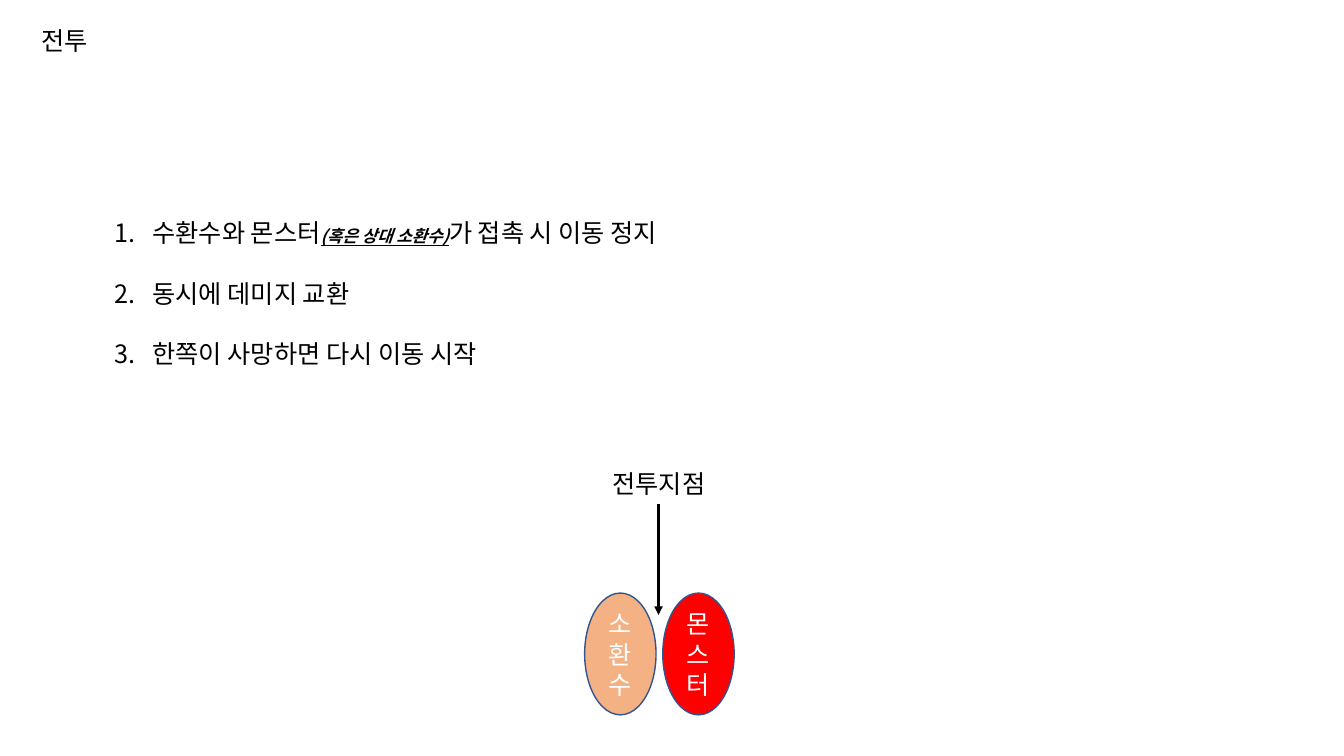
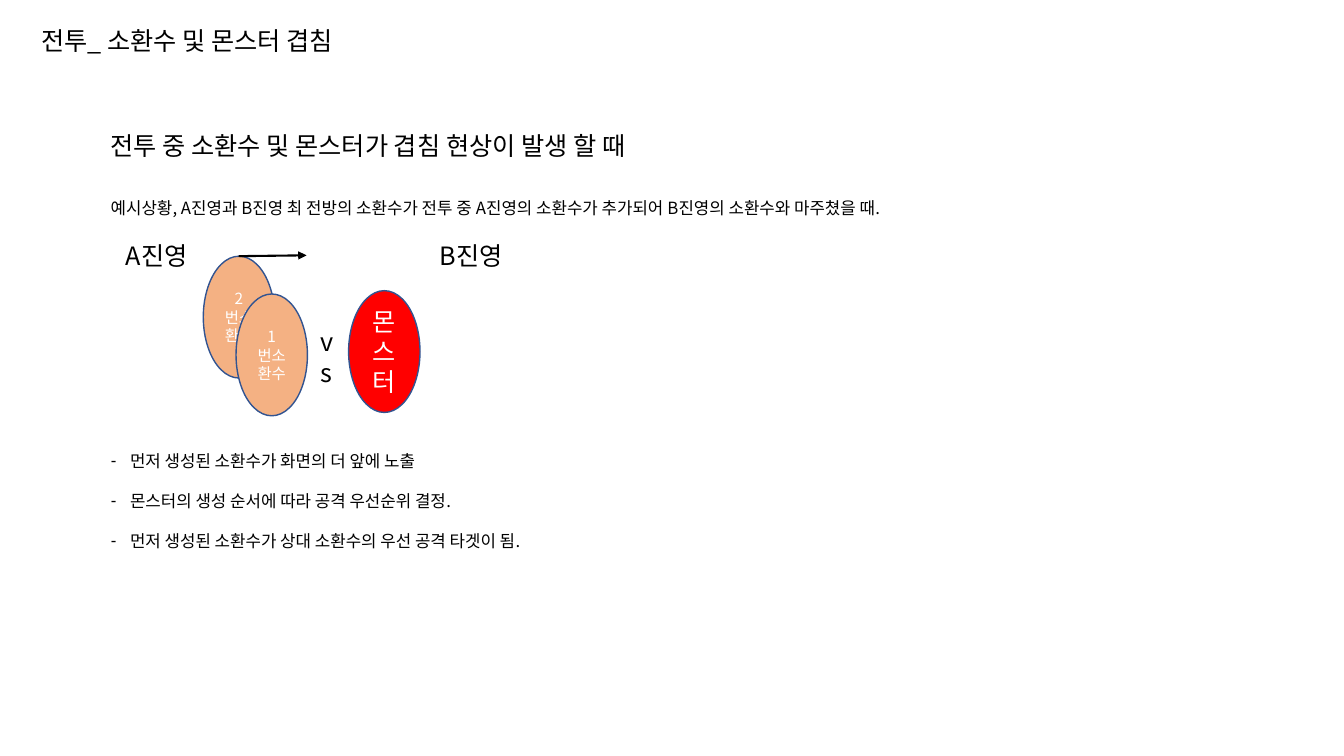
from pptx import Presentation
from pptx.dml.color import RGBColor
from pptx.enum.shapes import MSO_CONNECTOR, MSO_SHAPE
from pptx.enum.text import MSO_ANCHOR as ANCHOR, MSO_AUTO_SIZE as FIT, PP_ALIGN as ALIGN
from pptx.oxml.ns import qn
from pptx.util import Inches, Pt
from lxml.etree import SubElement

FONT = "Noto Sans CJK KR"
BLACK, WHITE, OUTLINE = "000000", "FFFFFF", "325491"
SUMMON, MONSTER = "F4B183", "FF0000"
COLS, ROWS = 160, 90
OVAL = (8.5, 14.5)
LEADING = 1.2
NUMBERED = ("a:buAutoNum", {"type": "arabicPeriod"}, 0.38)
DASHED = ("a:buChar", {"char": "-"}, 0.19)


def rgb(color):
    return RGBColor.from_string(color)


def apply(target, values):
    for name, value in values.items():
        setattr(target, name, value)


class Deck:
    def __init__(self):
        self.prs = Presentation()
        apply(self.prs, {"slide_width": Inches(13.33), "slide_height": Inches(7.5)})
        self.s = None

    def grid(self, col, row):
        return (round(self.prs.slide_width * col / COLS),
                round(self.prs.slide_height * row / ROWS))

    def box(self, col, row, cols, rows):
        return self.grid(col, row) + self.grid(cols, rows)

    def place(self, sp, *cells):
        apply(sp, dict(zip(("left", "top", "width", "height"), self.box(*cells))))
        return sp

    def put_text(self, sp, paragraphs, size=18, color=BLACK, align=ALIGN.LEFT,
                 anchor=ANCHOR.TOP, gap=0):
        tf = sp.text_frame
        apply(tf, {"word_wrap": True, "auto_size": FIT.NONE, "vertical_anchor": anchor})
        for i, runs in enumerate(paragraphs):
            p = tf.add_paragraph() if i else tf.paragraphs[0]
            apply(p, {"alignment": align, "line_spacing": Pt(size * LEADING),
                      "space_before": Pt(0), "space_after": Pt(gap)})
            for text, style in runs:
                r = p.add_run()
                r.text = text
                apply(r.font, {"name": FONT, "size": Pt(size), **style})
                r.font.color.rgb = rgb(color)
                SubElement(r._r.get_or_add_rPr(), qn("a:ea"), typeface=FONT)
        return tf

    def slide(self, title):
        self.s = self.prs.slides.add_slide(self.prs.slide_layouts[1])
        sp = self.place(self.s.shapes.title, 3.7, 2.4, 61.6, 4.8)
        self.put_text(sp, [[(title, {})]])

    def bullets(self, cells, items, bullet, size=18):
        sp = self.place(self.s.placeholders[1], *cells)
        tf = self.put_text(sp, items, size, gap=size * LEADING)
        tag, attributes, indent = bullet
        for p in tf.paragraphs:
            pPr = p._p.get_or_add_pPr()
            pPr.set("marL", str(Inches(indent)))
            pPr.set("indent", str(-Inches(indent)))
            SubElement(pPr, qn(tag), attributes)

    def label(self, cells, text, size=18, align=ALIGN.LEFT):
        sp = self.s.shapes.add_textbox(*self.box(*cells))
        self.put_text(sp, [[(text, {})]], size, align=align)

    def oval(self, col, row, text, fill, size=18):
        sp = self.s.shapes.add_shape(MSO_SHAPE.OVAL, *self.box(col, row, *OVAL))
        sp.shadow.inherit = False
        sp.fill.solid()
        sp.fill.fore_color.rgb = rgb(fill)
        sp.line.color.rgb = rgb(OUTLINE)
        sp.line.width = Pt(1)
        self.put_text(sp, [[(text, {})]], size, WHITE, ALIGN.CENTER, ANCHOR.MIDDLE)

    def arrow(self, start, end, width):
        cxn = self.s.shapes.add_connector(
            MSO_CONNECTOR.STRAIGHT, *self.grid(*start), *self.grid(*end))
        cxn.line.color.rgb = rgb(BLACK)
        cxn.line.width = Pt(width)
        spPr = cxn._element.spPr
        SubElement(spPr.find(qn("a:ln")), qn("a:tailEnd"), type="triangle")
        SubElement(spPr, qn("a:effectLst"))


def battle(d):
    d.slide("전투")
    aside = {"size": Pt(12), "bold": True, "italic": True, "underline": True}
    d.bullets((12.4, 25.3, 118.3, 19.4), [
        [("수환수와 몬스터", {}), ("(혹은 상대 소환수)", aside), ("가 접촉 시 이동 정지", {})],
        [("동시에 데미지 교환", {})],
        [("한쪽이 사망하면 다시 이동 시작", {})],
    ], NUMBERED)
    d.oval(69.6, 70.6, "소환수", SUMMON)
    d.oval(78.9, 70.6, "몬스터", MONSTER)
    d.label((70.7, 55.2, 15.5, 4.8), "전투지점", align=ALIGN.CENTER)
    d.arrow((78.4, 60), (78.4, 73.2), 2)


def overlap(d):
    d.slide("전투_ 소환수 및 몬스터 겹침")
    d.label((12, 14.9, 118.3, 4.8), "전투 중 소환수 및 몬스터가 겹침 현상이 발생 할 때")
    d.label((12, 22.9, 135, 3.6),
            "예시상황, A진영과 B진영 최 전방의 소환수가 전투 중 "
            "A진영의 소환수가 추가되어 B진영의 소환수와 마주쳤을 때.", 12)
    for col, camp in ((13.8, "A진영"), (51.2, "B진영")):
        d.label((col, 28, 13.3, 4.8), camp)
    d.oval(24.2, 30.5, "2번소환수", SUMMON, 11)
    d.oval(28.1, 35, "1번소환수", SUMMON, 11)
    d.oval(41.5, 34.6, "몬스터", MONSTER)
    d.label((37, 38.3, 2.4, 8.5), "vs")
    d.arrow((28.4, 30.5), (36.5, 30.4), 1.5)
    d.bullets((12, 53, 135, 13.3), [
        [("먼저 생성된 소환수가 화면의 더 앞에 노출", {})],
        [("몬스터의 생성 순서에 따라 공격 우선순위 결정.", {})],
        [("먼저 생성된 소환수가 상대 소환수의 우선 공격 타겟이 됨.", {})],
    ], DASHED, 12)


def main():
    d = Deck()
    battle(d)
    overlap(d)
    d.prs.save("out.pptx")


if __name__ == "__main__":
    main()
